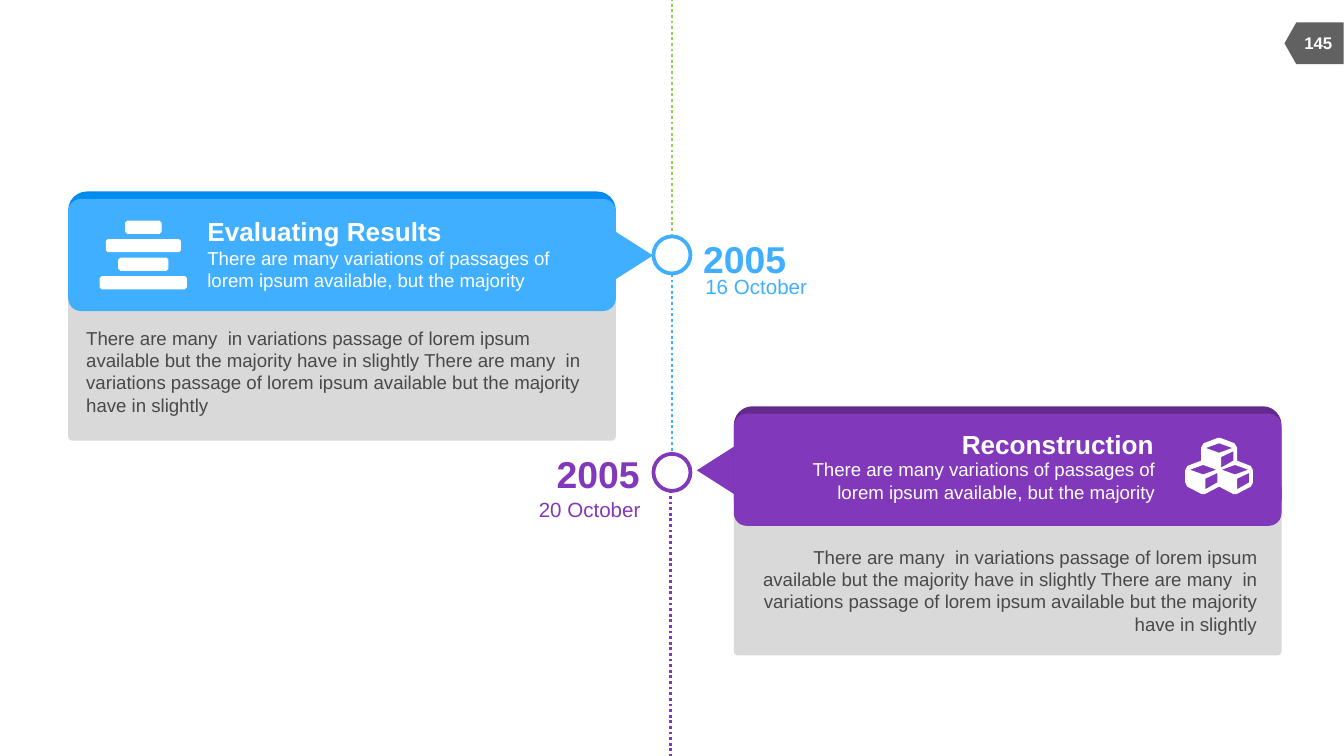
import lxml.etree
import pptx
import pptx.dml.color
import pptx.enum.dml
import pptx.enum.shapes
import pptx.enum.text
import pptx.oxml.ns
import pptx.util

Cm = pptx.util.Cm
Pt = pptx.util.Pt
RGBColor = pptx.dml.color.RGBColor
SHAPE = pptx.enum.shapes.MSO_SHAPE
ANCHOR = pptx.enum.text.MSO_ANCHOR
LEFT, CENTER, RIGHT = (pptx.enum.text.PP_ALIGN.LEFT, pptx.enum.text.PP_ALIGN.CENTER,
                       pptx.enum.text.PP_ALIGN.RIGHT)

WHITE = RGBColor(0xFF, 0xFF, 0xFF)
GREEN = RGBColor(0x92, 0xD0, 0x50)
BLUE = RGBColor(0x40, 0xAF, 0xFF)
DEEP_BLUE = RGBColor(0x00, 0x8B, 0xEF)
PURPLE = RGBColor(0x82, 0x38, 0xBA)
DEEP_PURPLE = RGBColor(0x61, 0x2A, 0x8B)
PANEL = RGBColor(0xD9, 0xD9, 0xD9)
BADGE = RGBColor(0x61, 0x61, 0x61)
INK = RGBColor(0x49, 0x49, 0x49)

SUMMARY = "There are many variations of passages of lorem ipsum available, but the majority"
PASSAGE = ("There are many  in variations passage of lorem ipsum available "
           "but the majority have in slightly")
DETAIL = f"{PASSAGE} {PASSAGE}"
CARD_WIDTH = 10.35
AXIS = 12.7


class TimelineSlide:
    font = "Arial"

    def __init__(self, slide):
        self.shapes = slide.shapes

    def paint(self, shape, fill, outline=None):
        shape.shadow.inherit = False
        shape.fill.solid()
        shape.fill.fore_color.rgb = fill
        if outline is None:
            shape.line.fill.background()
        else:
            shape.line.color.rgb = outline
            shape.line.width = Pt(2)

    def preset(self, kind, left, top, width, height, fill,
               outline=None, rotation=0, rounding=None):
        shape = self.shapes.add_shape(kind, Cm(left), Cm(top), Cm(width), Cm(height))
        self.paint(shape, fill, outline)
        shape.rotation = rotation
        if rounding is not None:
            shape.adjustments[0] = rounding

    def outline(self, contours, fill):
        points = [[(Cm(x), Cm(y)) for x, y in contour] for contour in contours]
        builder = self.shapes.build_freeform(*points[0][0], scale=1.0)
        builder.add_line_segments(points[0][1:], close=True)
        for contour in points[1:]:
            builder.move_to(*contour[0])
            builder.add_line_segments(contour[1:], close=True)
        self.paint(builder.convert_to_shape(), fill)

    def dotted_line(self, x, start, end, color):
        connector = self.shapes.add_connector(
            pptx.enum.shapes.MSO_CONNECTOR.STRAIGHT, Cm(x), Cm(start), Cm(x), Cm(end))
        connector.line.color.rgb = color
        connector.line.width = Pt(1.5)
        connector.line.dash_style = pptx.enum.dml.MSO_LINE.ROUND_DOT
        lxml.etree.SubElement(connector._element.spPr, pptx.oxml.ns.qn("a:effectLst"))

    def text(self, content, left, top, width, height, size, color,
             bold=False, align=LEFT, anchor=ANCHOR.MIDDLE, wrap=False):
        box = self.shapes.add_textbox(Cm(left), Cm(top), Cm(width), Cm(height))
        frame = box.text_frame
        frame.margin_left = frame.margin_right = frame.margin_top = frame.margin_bottom = 0
        frame.word_wrap = wrap
        frame.auto_size = pptx.enum.text.MSO_AUTO_SIZE.SHAPE_TO_FIT_TEXT
        frame.vertical_anchor = anchor
        paragraph = frame.paragraphs[0]
        paragraph.text = content
        paragraph.alignment = align
        paragraph.font.name = self.font
        paragraph.font.size = Pt(size)
        paragraph.font.bold = bold
        paragraph.font.color.rgb = color

    def card(self, left, top, color, edge, pointer_left, pointer_turn):
        self.preset(SHAPE.ROUNDED_RECTANGLE, left, top + 1.56, CARD_WIDTH, 3.15,
                    PANEL, rounding=0.025)
        self.preset(SHAPE.ISOSCELES_TRIANGLE, pointer_left, top + 0.7, 1.3, 1.02,
                    color, rotation=pointer_turn)
        self.preset(SHAPE.ROUNDED_RECTANGLE, left, top, CARD_WIDTH, 2.12, edge)
        self.preset(SHAPE.ROUNDED_RECTANGLE, left, top + 0.14, CARD_WIDTH, 2.12,
                    color, rounding=0.113)

    def card_text(self, title, title_box, summary_box, detail_box, align):
        self.text(title, *title_box, 14, WHITE, bold=True, align=align)
        for content, box, color in ((SUMMARY, summary_box, WHITE), (DETAIL, detail_box, INK)):
            self.text(content, *box, 10, color, align=align, anchor=ANCHOR.TOP, wrap=True)

    def milestone(self, top, color):
        self.preset(SHAPE.OVAL, AXIS - 0.35, top, 0.7, 0.7, WHITE, outline=color)

    def bars_icon(self, center, top):
        height, corner = 0.25, 0.04
        contours = []
        for row, width in enumerate((0.69, 1.42, 0.95, 1.65)):
            x1, x2 = center - width / 2, center + width / 2
            y1 = top + row * 0.35
            y2 = y1 + height
            contours.append([(x1 + corner, y1), (x2 - corner, y1), (x2, y1 + corner),
                             (x2, y2 - corner), (x2 - corner, y2), (x1 + corner, y2),
                             (x1, y2 - corner), (x1, y1 + corner)])
        self.outline(contours, WHITE)

    def cubes_icon(self, center, top):
        half = [(0.03, 0), (0.29, 0.1), (0.34, 0.18), (0.34, 0.43), (0.6, 0.53),
                (0.64, 0.61), (0.64, 0.84), (0.6, 0.92), (0.33, 1.06), (0.27, 1.06),
                (0, 0.92)]
        silhouette = half + [(-x, y) for x, y in reversed(half[:-1])]
        lid = [(0, -0.09), (-0.25, 0), (0, 0.09), (0.25, 0)]
        side = [(0.27, 0.24), (0.27, 0.06), (0.04, 0.17), (0.04, 0.37)]
        contours = [silhouette]
        for cube_x, cube_y in ((0, 0.19), (-0.3, 0.6), (0.3, 0.6)):
            for face in (lid, side):
                contours.append([(cube_x + x, cube_y + y) for x, y in face])
        self.outline([[(center + x, top + y) for x, y in contour] for contour in contours],
                     WHITE)


def main():
    deck = pptx.Presentation()
    deck.slide_width, deck.slide_height = Cm(25.4), Cm(14.29)
    timeline = TimelineSlide(deck.slides.add_slide(deck.slide_layouts[6]))

    timeline.preset(SHAPE.FLOWCHART_OFFPAGE_CONNECTOR, 24.44, 0.26, 0.79, 1.12,
                    BADGE, rotation=90)
    timeline.text("145", 24.38, 0.43, 1.07, 0.76, 9, WHITE,
                  bold=True, align=CENTER, wrap=True)

    timeline.dotted_line(AXIS, 4.47, 0, GREEN)
    timeline.dotted_line(AXIS, 5.18, 8.58, BLUE)
    timeline.dotted_line(12.67, 9.27, 14.29, PURPLE)

    timeline.card(1.29, 3.62, BLUE, DEEP_BLUE, 11.18, 90)
    timeline.card_text("Evaluating Results", (3.92, 4.07, 4.5, 0.61),
                       (3.92, 4.66, 7.01, 0.86), (1.63, 6.17, 9.58, 1.7), LEFT)
    timeline.bars_icon(2.71, 4.17)
    timeline.milestone(4.47, BLUE)
    timeline.text("2005", 13.29, 4.46, 1.65, 0.86, 20, BLUE, bold=True)
    timeline.text("16 October", 13.33, 5.18, 1.95, 0.48, 11, BLUE)

    timeline.card(13.87, 7.68, PURPLE, DEEP_PURPLE, 13.03, 270)
    timeline.card_text("Reconstruction", (18.11, 8.08, 3.7, 0.61),
                       (14.81, 8.66, 7.01, 0.86), (14.17, 10.31, 9.58, 1.7), RIGHT)
    timeline.cubes_icon(23.04, 8.28)
    timeline.milestone(8.58, PURPLE)
    timeline.text("2005", 10.52, 8.52, 1.65, 0.86, 20, PURPLE, bold=True)
    timeline.text("20 October", 10.16, 9.38, 1.95, 0.48, 11, PURPLE, align=RIGHT)

    deck.save("out.pptx")


if __name__ == "__main__":
    main()
